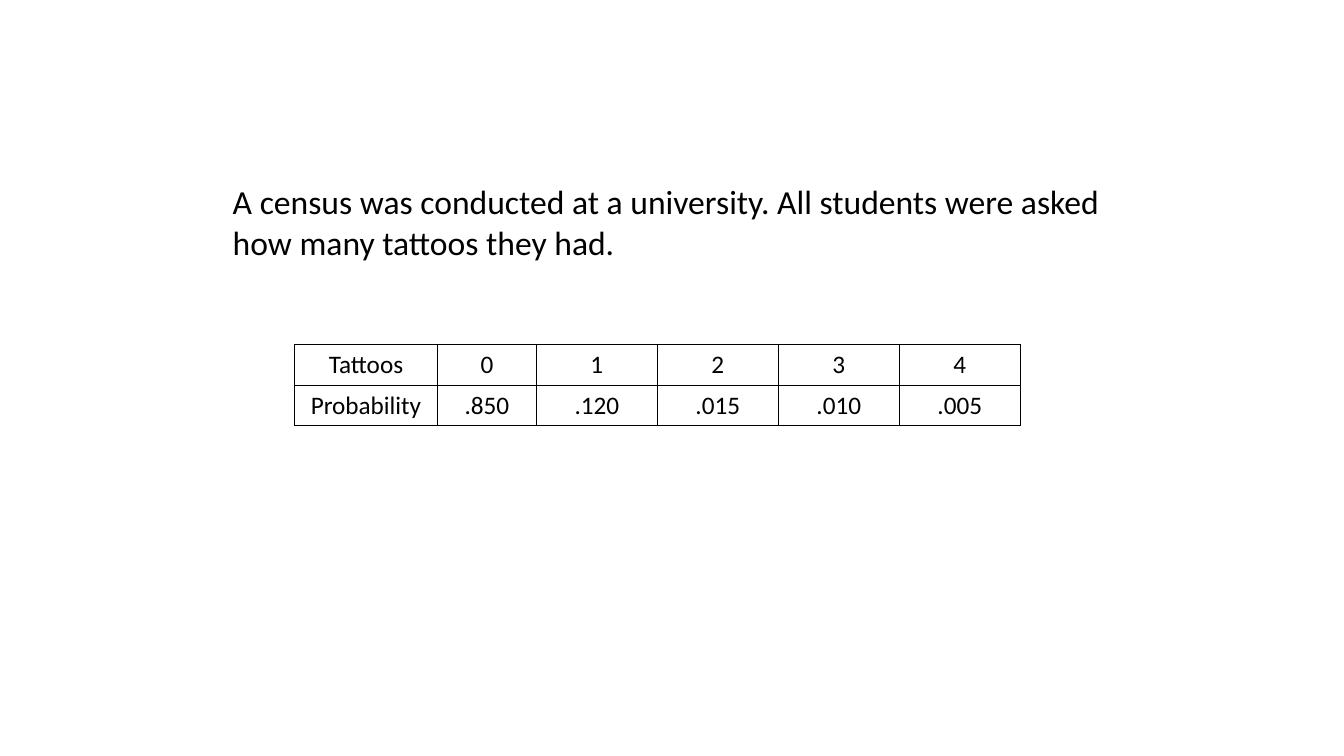
from pptx import Presentation
from pptx.dml.color import RGBColor
from pptx.enum.text import MSO_ANCHOR, MSO_AUTO_SIZE, PP_ALIGN
from pptx.oxml import parse_xml
from pptx.oxml.ns import nsdecls
from pptx.util import Inches, Pt

BLACK = RGBColor(0x00, 0x00, 0x00)
FONT = "Calibri"
QUESTION = (
    "A census was conducted at a university. "
    "All students were asked how many tattoos they had."
)
DISTRIBUTION = [
    ["Tattoos", "0", "1", "2", "3", "4"],
    ["Probability", ".850", ".120", ".015", ".010", ".005"],
]
COLUMN_WIDTHS = [1.42, 0.98] + [1.2] * 4
ROW_HEIGHT = 0.4


def write_text(text_frame, text, size, align=PP_ALIGN.LEFT, color=BLACK):
    paragraph = text_frame.paragraphs[0]
    paragraph.alignment = align
    run = paragraph.add_run()
    run.text = text
    run.font.name = FONT
    run.font.size = Pt(size)
    run.font.color.rgb = color


def add_question(slide, left, top, width, height):
    text_box = slide.shapes.add_textbox(
        Inches(left), Inches(top), Inches(width), Inches(height)
    )
    text_frame = text_box.text_frame
    text_frame.word_wrap = True
    text_frame.auto_size = MSO_AUTO_SIZE.SHAPE_TO_FIT_TEXT
    write_text(text_frame, QUESTION, size=24)


def add_borders(cell, color=BLACK, width=1):
    properties = cell._tc.get_or_add_tcPr()
    for index, side in enumerate(("lnL", "lnR", "lnT", "lnB")):
        border = parse_xml(
            f'<a:{side} {nsdecls("a")} w="{Pt(width)}">'
            f'<a:solidFill><a:srgbClr val="{color}"/></a:solidFill></a:{side}>'
        )
        properties.insert(index, border)


def add_distribution_table(slide, left, top):
    table = slide.shapes.add_table(
        len(DISTRIBUTION),
        len(COLUMN_WIDTHS),
        Inches(left),
        Inches(top),
        Inches(sum(COLUMN_WIDTHS)),
        Inches(ROW_HEIGHT * len(DISTRIBUTION)),
    ).table
    table.first_row = False
    table.horz_banding = False
    for column, width in zip(table.columns, COLUMN_WIDTHS):
        column.width = Inches(width)
    for row, values in zip(table.rows, DISTRIBUTION):
        row.height = Inches(ROW_HEIGHT)
        for cell, value in zip(row.cells, values):
            cell.fill.background()
            cell.vertical_anchor = MSO_ANCHOR.MIDDLE
            add_borders(cell)
            write_text(cell.text_frame, value, size=18, align=PP_ALIGN.CENTER)


def main():
    presentation = Presentation()
    presentation.slide_width = Inches(13.33)
    presentation.slide_height = Inches(7.5)
    slide = presentation.slides.add_slide(presentation.slide_layouts[6])
    add_question(slide, left=2.21, top=1.75, width=9.42, height=0.91)
    add_distribution_table(slide, left=2.92, top=3.42)
    presentation.save("out.pptx")


if __name__ == "__main__":
    main()
